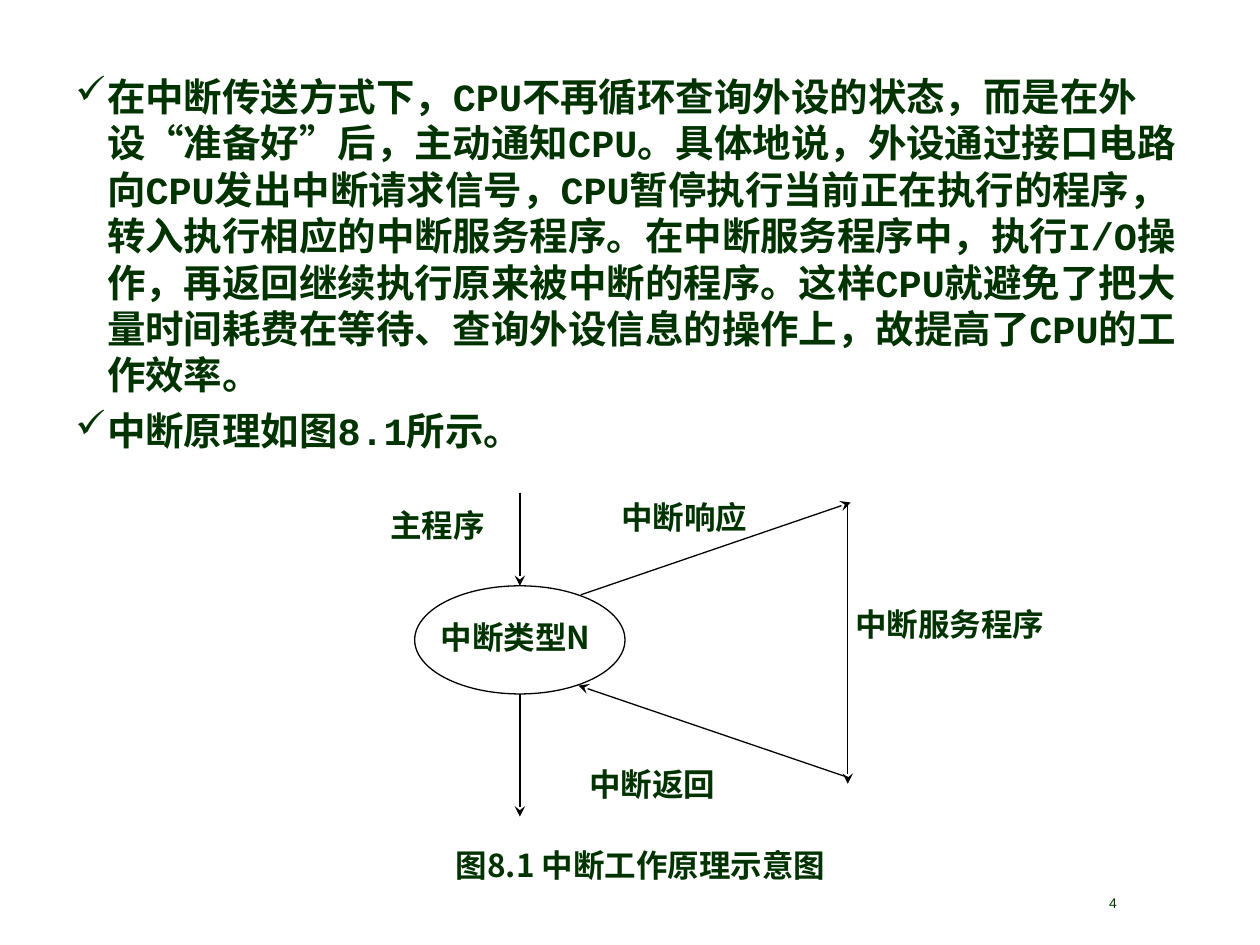
"""Build the slide that explains interrupt-driven transfer with a flow diagram."""
from lxml.etree import SubElement
from pptx import Presentation
from pptx.dml.color import RGBColor
from pptx.enum.shapes import MSO_CONNECTOR as Connector, MSO_SHAPE as Shape
from pptx.enum.text import MSO_ANCHOR as Anchor, PP_ALIGN as Align
from pptx.oxml.ns import qn
from pptx.util import Cm, Pt

GREEN, BLACK, WHITE = "003300", "000000", "FFFFFF"
CJK_FONT = "Noto Sans CJK SC"

BULLETS = [
    "在中断传送方式下，CPU不再循环查询外设的状态，而是在外设“准备好”后，主动通知CPU。"
    "具体地说，外设通过接口电路向CPU发出中断请求信号，CPU暂停执行当前正在执行的程序，"
    "转入执行相应的中断服务程序。在中断服务程序中，执行I/O操作，再返回继续执行原来被中断的程序。"
    "这样CPU就避免了把大量时间耗费在等待、查询外设信息的操作上，故提高了CPU的工作效率。",
    "中断原理如图8.1所示。",
]
LABELS = [
    ("中断服务程序", 16.99, 12.07, 5.28),
    ("中断类型N", 8.64, 12.33, 4.93),
    ("中断响应", 12.27, 9.9, 4.39),
    ("中断返回", 11.63, 15.29, 4.39),
    ("主程序", 7.62, 10.08, 4.39),
    ("图8.1 中断工作原理示意图", 8.94, 16.92, 10.26),
]
LABEL_HEIGHT = 1.3
ELLIPSE = (8.36, 11.81, 4.24, 2.18)
AXIS_X, SERVICE_X = 10.48, 17.09
ARROWS = [
    (AXIS_X, 9.93, AXIS_X, 11.81),
    (AXIS_X, 13.99, AXIS_X, 16.46),
    (SERVICE_X, 10.13, SERVICE_X, 15.8),
    (11.71, 11.99, 17.15, 10.13),
    (SERVICE_X, 15.67, 11.66, 13.82),
]


def color(value):
    return RGBColor.from_string(value)


def add_frame(slide, left, top, width, height, inset_top=0.13):
    box = slide.shapes.add_textbox(Cm(left), Cm(top), Cm(width), Cm(height))
    frame = box.text_frame
    frame.word_wrap = True
    frame.margin_left = frame.margin_right = Cm(0.25)
    frame.margin_top, frame.margin_bottom = Cm(inset_top), Cm(0.13)
    return frame


def style(paragraph, size, font_name, bold=True, align=None):
    paragraph.alignment = align
    font = paragraph.font
    font.size, font.bold, font.name = Pt(size), bold, font_name
    font.color.rgb = color(GREEN)
    properties = paragraph._p.pPr.find(qn("a:defRPr"))
    SubElement(properties, qn("a:ea"), typeface=CJK_FONT)


def add_bullet(paragraph):
    properties = paragraph._p.get_or_add_pPr()
    properties.set("marL", str(Cm(0.64)))
    properties.set("indent", str(-Cm(0.64)))
    bullet_color = SubElement(properties, qn("a:buClr"))
    SubElement(bullet_color, qn("a:srgbClr"), val=GREEN)
    SubElement(properties, qn("a:buChar"), char="✓")


def add_body(slide):
    frame = add_frame(slide, 1.27, 1.27, 22.86, 16.51, inset_top=0.2)
    for index, text in enumerate(BULLETS):
        paragraph = frame.add_paragraph() if index else frame.paragraphs[0]
        paragraph.text = text
        add_bullet(paragraph)
        paragraph.line_spacing = Pt(26.5)
        paragraph.space_before = Pt(5.5 if index else 0)
        style(paragraph, 22, "Courier New")


def add_ellipse(slide):
    ellipse = slide.shapes.add_shape(Shape.OVAL, *map(Cm, ELLIPSE))
    ellipse.shadow.inherit = False
    ellipse.fill.solid()
    ellipse.fill.fore_color.rgb = color(WHITE)
    ellipse.line.color.rgb = color(BLACK)
    ellipse.line.width = Pt(0.75)


def add_arrow(slide, points):
    arrow = slide.shapes.add_connector(Connector.STRAIGHT, *map(Cm, points))
    arrow.line.color.rgb = color(BLACK)
    arrow.line.width = Pt(0.75)
    SubElement(arrow.line._get_or_add_ln(), qn("a:tailEnd"), type="stealth")
    SubElement(arrow._element.spPr, qn("a:effectLst"))


def add_label(slide, text, left, top, width):
    paragraph = add_frame(slide, left, top, width, LABEL_HEIGHT).paragraphs[0]
    paragraph.text = text
    style(paragraph, 18, CJK_FONT, align=Align.JUSTIFY)


def add_page_number(slide):
    frame = add_frame(slide, 19.48, 18.03, 5.92, 0.36)
    frame.vertical_anchor = Anchor.MIDDLE
    paragraph = frame.paragraphs[0]
    paragraph.text = "4"
    style(paragraph, 8, "Arial", bold=False, align=Align.CENTER)


def main():
    presentation = Presentation()
    presentation.slide_width, presentation.slide_height = Cm(25.4), Cm(19.05)
    slide = presentation.slides.add_slide(presentation.slide_layouts[6])
    add_body(slide)
    add_ellipse(slide)
    for points in ARROWS:
        add_arrow(slide, points)
    for label in LABELS:
        add_label(slide, *label)
    add_page_number(slide)
    presentation.save("out.pptx")


if __name__ == "__main__":
    main()
